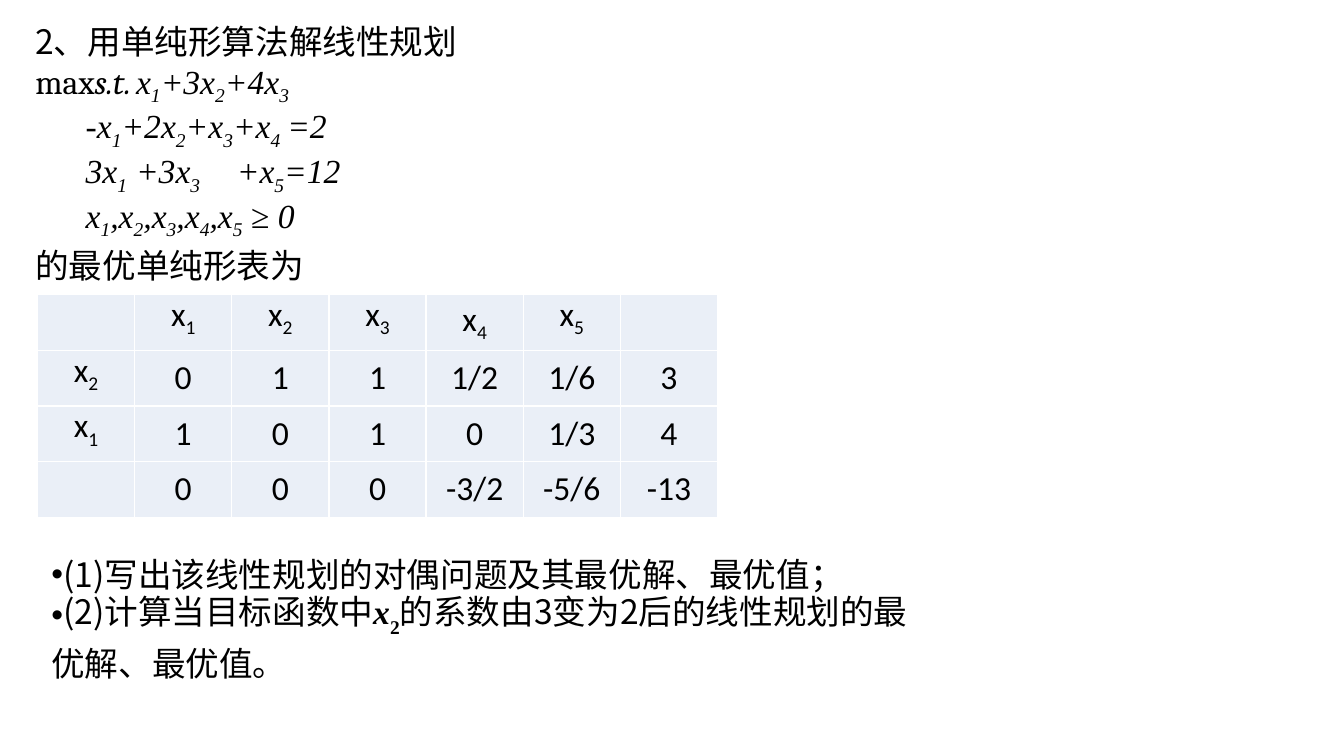
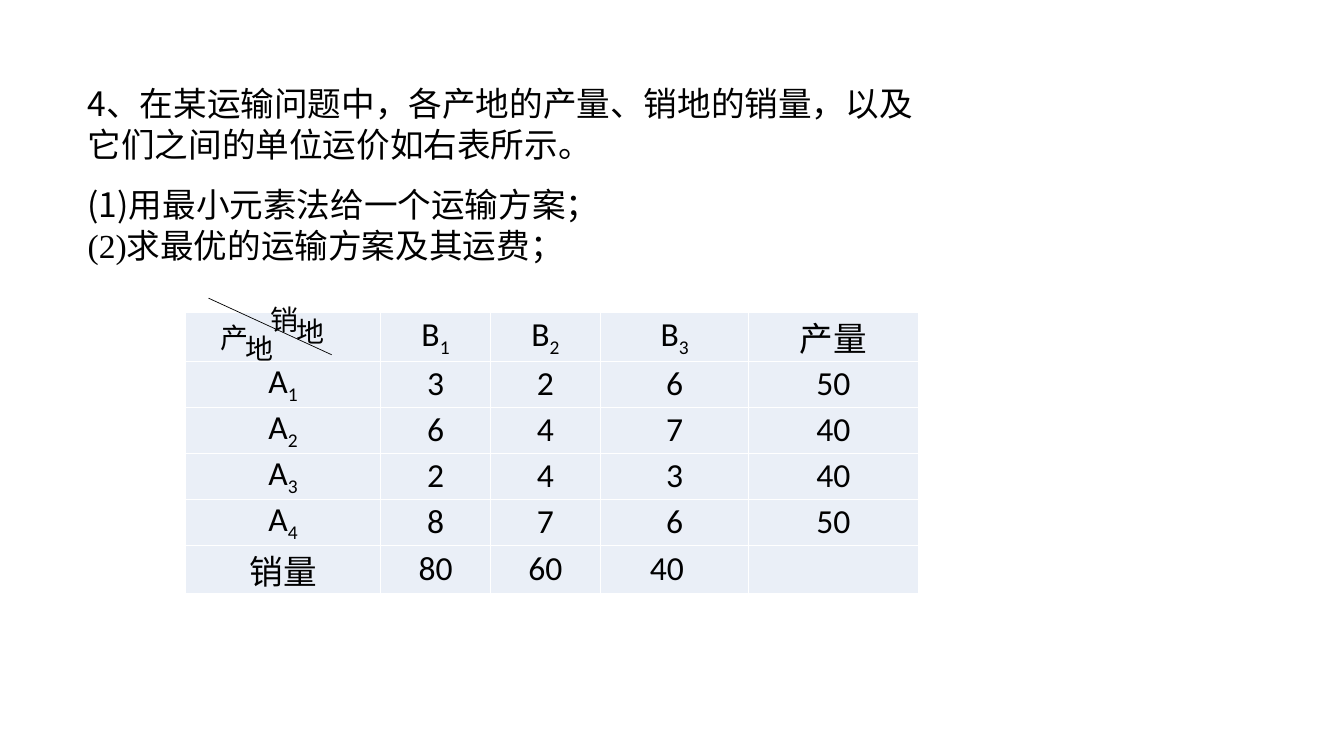
from pptx import Presentation
from pptx.util import Pt
from pptx.dml.color import RGBColor
from pptx.enum.text import PP_ALIGN, MSO_ANCHOR, MSO_AUTO_SIZE
from pptx.enum.shapes import MSO_CONNECTOR
from pptx.oxml.ns import qn
from lxml.etree import SubElement, Element

HUES = {"ink": "000000", "cell": "EAEFF7", "rule": "FFFFFF"}
HAN, ROMAN, SANS, SERIF = "Noto Sans CJK SC", "Times New Roman", "Calibri", "Cambria"


def hue(name):
    return RGBColor.from_string(HUES[name])


def add_run(para, text, face, size=24, bold=False, slant=False, drop=0):
    run = para.add_run()
    run.text = text
    font = run.font
    font.name, font.size, font.bold, font.italic = face, Pt(size), bold, slant
    font.color.rgb = hue("ink")
    props = run._r.get_or_add_rPr()
    if drop:
        props.set("baseline", str(drop * 1000))
    if face == HAN:
        east = Element(qn("a:ea"), typeface=face)
        props.find(qn("a:latin")).addnext(east)


def add_math(para, text, face, slant=False):
    first, *rest = text.split("_")
    if first:
        add_run(para, first, face, slant=slant)
    for part in rest:
        add_run(para, part[0], face, slant=slant, drop=-25)
        if part[1:]:
            add_run(para, part[1:], face, slant=slant)


def set_frame(shape, box, anchor, inset=None):
    shape.left, shape.top, shape.width, shape.height = map(Pt, box)
    frame = shape.text_frame
    frame.word_wrap = True
    frame.auto_size = MSO_AUTO_SIZE.NONE
    frame.vertical_anchor = anchor
    sides = (7.2, 3.6, 7.2, 3.6) if inset is None else (inset,) * 4
    (frame.margin_left, frame.margin_top,
     frame.margin_right, frame.margin_bottom) = map(Pt, sides)
    return frame


def add_para(frame, pitch, before=0, tabs=(), bullet=False):
    para = frame.paragraphs[0]
    if para.runs:
        para = frame.add_paragraph()
    para.alignment = PP_ALIGN.LEFT
    para.line_spacing = Pt(pitch)
    para.space_before, para.space_after = Pt(before), Pt(0)
    props = para._p.get_or_add_pPr()
    props.set("marL", "0")
    props.set("indent", "0")
    if bullet:
        SubElement(props, qn("a:buChar"), char="•")
    if tabs:
        stops = SubElement(props, qn("a:tabLst"))
        for stop in tabs:
            SubElement(stops, qn("a:tab"), pos=str(Pt(stop)), algn="l")
    return para


def add_rules(cell):
    props = cell._tc.get_or_add_tcPr()
    for spot, side in enumerate(("lnL", "lnR", "lnT", "lnB")):
        line = Element(qn("a:" + side), w=str(Pt(1)))
        fill = SubElement(line, qn("a:solidFill"))
        SubElement(fill, qn("a:srgbClr"), val=HUES["rule"])
        props.insert(spot, line)


def add_grid(slide, left, top, cols, rows, data, pad, high=()):
    table = slide.shapes.add_table(len(rows), len(cols), Pt(left), Pt(top),
                                   Pt(sum(cols)), Pt(sum(rows))).table
    table.first_row = table.horz_banding = False
    for col, width in zip(table.columns, cols):
        col.width = Pt(width)
    for row, height, texts in zip(table.rows, rows, data):
        row.height = Pt(height)
        for cell, text in zip(row.cells, texts):
            cell.margin_left = cell.margin_right = Pt(pad)
            cell.margin_top = cell.margin_bottom = Pt(0)
            cell.vertical_anchor = MSO_ANCHOR.TOP if text in high else MSO_ANCHOR.MIDDLE
            cell.fill.solid()
            cell.fill.fore_color.rgb = hue("cell")
            add_rules(cell)
            para = cell.text_frame.paragraphs[0]
            para.alignment = PP_ALIGN.CENTER
            add_math(para, text, SANS)
    return table


def add_corner(slide):
    group = slide.shapes.add_group_shape()
    line = group.shapes.add_connector(MSO_CONNECTOR.STRAIGHT, Pt(149), Pt(213),
                                      Pt(236.9), Pt(253.4))
    line.line.color.rgb = hue("ink")
    line.line.width = Pt(0.5)
    SubElement(line._element.spPr, qn("a:effectLst"))
    for text, left, top in (("销", 193, 216), ("地", 211.7, 224.6),
                            ("产", 157.7, 229), ("地", 175, 236.9)):
        box = (left, top, 15.8, 14.4)
        label = group.shapes.add_textbox(*map(Pt, box))
        para = set_frame(label, box, MSO_ANCHOR.TOP, 0).paragraphs[0]
        para.alignment = PP_ALIGN.JUSTIFY
        add_run(para, text, ROMAN, 20)


def simplex(deck):
    slide = deck.slides.add_slide(deck.slide_layouts[1])
    frame = set_frame(slide.shapes.title, (18, 17.3, 570.2, 181.4), MSO_ANCHOR.MIDDLE)
    add_run(add_para(frame, 32), "2、用单纯形算法解线性规划", HAN)
    para = add_para(frame, 32, tabs=(84,))
    add_run(para, "max", SERIF)
    add_run(para, "s.t.", SERIF, slant=True)
    add_math(para, "\tx_1+3x_2+4x_3", ROMAN, True)
    for text, tabs in (("\t-x_1+2x_2+x_3+x_4\t=2", (95.5, 272)),
                       ("\t3x_1\t+3x_3\t+x_5=12", (95.5, 180.5, 262.5)),
                       ("\tx_1,x_2,x_3,x_4,x_5 ≥ 0", (90,))):
        add_math(add_para(frame, 32, tabs=tabs), text, ROMAN, True)
    add_run(add_para(frame, 32), "的最优单纯形表为", HAN)

    data = (("", "x_1", "x_2", "x_3", "x_4", "x_5", ""),
            ("x_2", "0", "1", "1", "1/2", "1/6", "3"),
            ("x_1", "1", "0", "1", "0", "1/3", "4"),
            ("", "0", "0", "0", "-3/2", "-5/6", "-13"))
    add_grid(slide, 26.8, 210.4, [69.4] * 7, [39.8] * 4, data, 2.9,
             ("x_1", "x_2", "x_3", "x_5"))

    frame = set_frame(slide.placeholders[1], (29.5, 393.1, 641.5, 94.3), MSO_ANCHOR.MIDDLE)
    add_run(add_para(frame, 32, bullet=True),
            "(1)写出该线性规划的对偶问题及其最优解、最优值；", HAN)
    para = add_para(frame, 32, bullet=True)
    add_run(para, "(2)计算当目标函数中", HAN)
    add_run(para, "x", ROMAN, bold=True, slant=True)
    add_run(para, "2", ROMAN, bold=True, drop=-30)
    add_run(para, "的系数由3变为2后的线性规划的最优解、最优值。", HAN)


def transport(deck):
    slide = deck.slides.add_slide(deck.slide_layouts[5])
    frame = set_frame(slide.shapes.title, (55.4, 55.4, 613.4, 136.8), MSO_ANCHOR.TOP)
    for text, face, pitch, before in (
            ("4、在某运输问题中，各产地的产量、销地的销量，以及它们之间的单位运价如右表所示。",
             HAN, 29.3, 0),
            ("(1)用最小元素法给一个运输方案；", HAN, 36.6, 6),
            ("(2)求最优的运输方案及其运费；", ROMAN, 29.3, 0)):
        add_run(add_para(frame, pitch, before), text, face)

    data = (("", "B_1", "B_2", "B_3", "产量"),
            ("A_1", "3", "2", "6", "50"),
            ("A_2", "6", "4", "7", "40"),
            ("A_3", "2", "4", "3", "40"),
            ("A_4", "8", "7", "6", "50"),
            ("销量", "80", "60", "40", ""))
    table = add_grid(slide, 132.5, 223.2, (139.4, 78.5, 78.5, 106, 121),
                     [35] + [32.8] * 4 + [28.4], data, 5)
    table.cell(5, 3).margin_right = Pt(16)
    add_corner(slide)


def main():
    deck = Presentation()
    deck.slide_width, deck.slide_height = Pt(960), Pt(540)
    simplex(deck)
    transport(deck)
    deck.save("out.pptx")


main()
